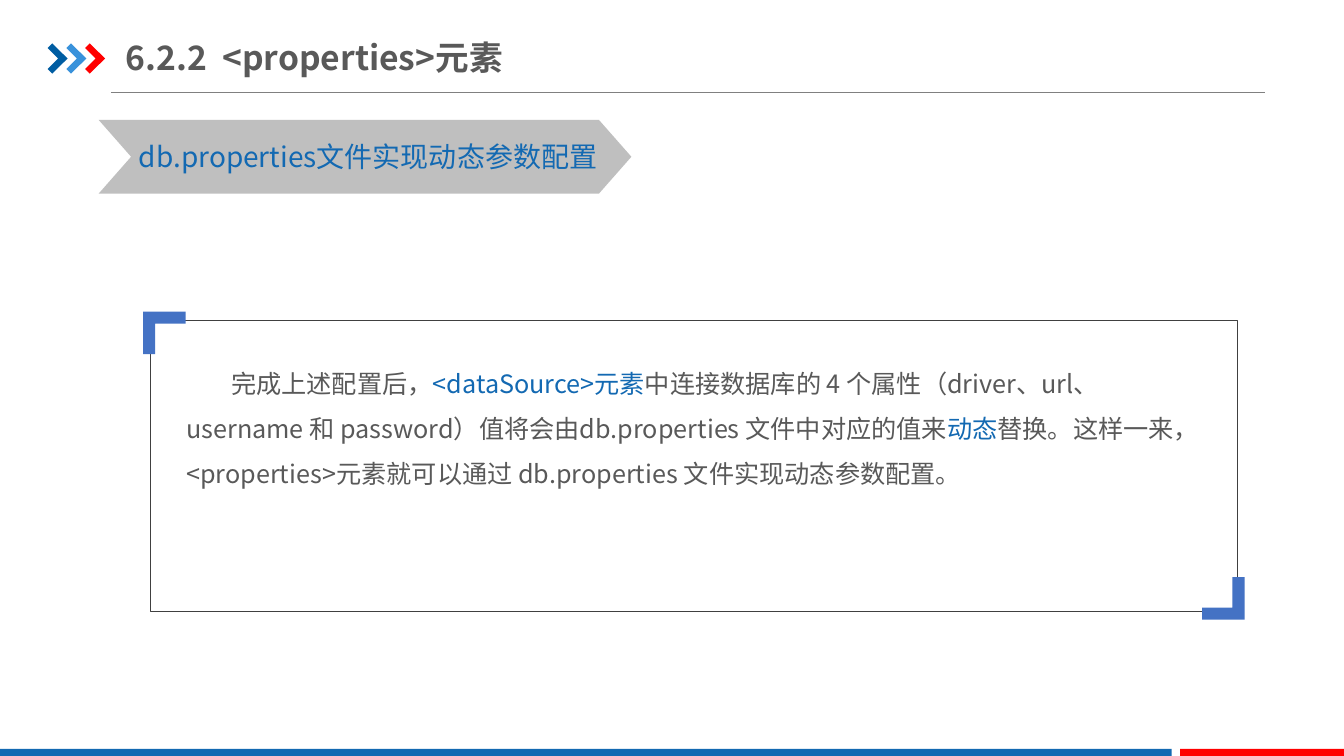
from dataclasses import dataclass

from lxml.etree import SubElement
from pptx import Presentation
from pptx.dml.color import RGBColor
from pptx.enum.shapes import MSO_CONNECTOR, MSO_SHAPE
from pptx.enum.text import MSO_ANCHOR, MSO_AUTO_SIZE, PP_ALIGN
from pptx.oxml.ns import qn
from pptx.util import Pt


@dataclass(frozen=True)
class Theme:
    face: str = "Noto Sans CJK SC"
    text: str = "595959"
    blue: str = "1369B2"
    red: str = "FF0000"
    navy: str = "005DA2"
    sky: str = "3992DB"
    gray: str = "BFBFBF"
    rule: str = "808080"
    frame: str = "404040"
    corner: str = "4472C4"
    title: int = 24
    label: int = 20
    body: int = 18


THEME = Theme()


def color(code):
    return RGBColor.from_string(code)


def style(run, size, code, bold=False):
    font = run.font
    font.name = THEME.face
    font.size = Pt(size)
    font.bold = bold
    font.color.rgb = color(code)
    SubElement(run._r.get_or_add_rPr(), qn("a:ea")).set("typeface", THEME.face)


def paint(shape, code):
    shape.shadow.inherit = False
    shape.fill.solid()
    shape.fill.fore_color.rgb = color(code)
    shape.line.fill.background()


def block(slide, kind, box, code):
    shape = slide.shapes.add_shape(kind, *map(Pt, box))
    paint(shape, code)
    return shape


def outline(slide, left, top, points, code):
    first, *rest = [(Pt(left + x), Pt(top + y)) for x, y in points]
    form = slide.shapes.build_freeform(*first)
    form.add_line_segments(rest, close=True)
    shape = form.convert_to_shape()
    paint(shape, code)
    return shape


def header(slide, left, top, width, height):
    points = [(0, 3.3), (3.4, 0), (14.3, 10.8), (3.4, 21.6), (0, 18.3), (7.6, 10.8)]
    for i, code in enumerate((THEME.navy, THEME.sky, THEME.red)):
        outline(slide, left + 13.4 * i, top + 10, points, code)

    base = top + height
    rule = slide.shapes.add_connector(
        MSO_CONNECTOR.STRAIGHT, Pt(left + 45.3), Pt(base), Pt(left + width), Pt(base))
    rule.line.color.rgb = color(THEME.rule)
    rule.line.width = Pt(0.5)
    SubElement(rule._element.spPr, qn("a:effectLst"))

    title = slide.shapes.title
    title.left, title.top = Pt(left + 56), Pt(top)
    title.width, title.height = Pt(325), Pt(40)
    frame = title.text_frame
    frame.text = "6.2.2  <properties>元素"
    frame.auto_size = MSO_AUTO_SIZE.NONE
    frame.vertical_anchor = MSO_ANCHOR.MIDDLE
    frame.margin_left = frame.margin_right = 0
    line = frame.paragraphs[0]
    line.alignment = PP_ALIGN.LEFT
    style(line.runs[0], THEME.title, THEME.text, True)


def banner(slide, left, top, width, height):
    arrow = block(slide, MSO_SHAPE.CHEVRON, (left, top, width, height), THEME.gray)
    arrow.adjustments[0] = 0.44
    label = slide.shapes.add_textbox(
        Pt(left + 21.6), Pt(top + 10.1), Pt(width - 22), Pt(31.7))
    frame = label.text_frame
    frame.word_wrap = True
    frame.text = "db.properties文件实现动态参数配置"
    style(frame.paragraphs[0].runs[0], THEME.label, THEME.blue)


def panel(slide, left, top, width, height):
    note = slide.shapes.add_textbox(
        Pt(left + 18.7), Pt(top + 20), Pt(width - 37.4), Pt(height - 34))
    frame = note.text_frame
    frame.word_wrap = True
    line = frame.paragraphs[0]
    line.line_spacing = 1.5
    line._p.get_or_add_pPr().set("indent", str(Pt(32)))
    parts = [
        ("完成上述配置后，", THEME.text),
        ("<dataSource>元素", THEME.blue),
        ("中连接数据库的 4 个属性（driver、url、username 和 password）"
         "值将会由db.properties 文件中对应的值来", THEME.text),
        ("动态", THEME.blue),
        ("替换。这样一来，<properties>元素就可以通过 "
         "db.properties 文件实现动态参数配置。", THEME.text),
    ]
    for words, code in parts:
        run = line.add_run()
        run.text = words
        style(run, THEME.body, code)

    border = slide.shapes.add_shape(
        MSO_SHAPE.RECTANGLE, Pt(left), Pt(top), Pt(width), Pt(height))
    border.shadow.inherit = False
    border.fill.background()
    border.line.color.rgb = color(THEME.frame)
    border.line.width = Pt(0.25)

    size, thick, out = 30.4, 8.6, 5
    points = [(0, 0), (size, 0), (size, thick), (thick, thick), (thick, size), (0, size)]
    outline(slide, left - out, top - out - 1, points, THEME.corner)
    turned = [(-x, -y) for x, y in points]
    outline(slide, left + width + out, top + height + out + 1, turned, THEME.corner)


def footer(slide, left, top, width, height):
    split, gap = 837, 6
    block(slide, MSO_SHAPE.RECTANGLE, (left, top, split, height), THEME.blue)
    block(slide, MSO_SHAPE.RECTANGLE,
          (left + split + gap, top, width - split - gap, height), THEME.red)


def main():
    deck = Presentation()
    deck.slide_width, deck.slide_height = Pt(960), Pt(540)
    slide = deck.slides.add_slide(deck.slide_layouts[5])
    header(slide, 34, 21, 869.6, 44.8)
    footer(slide, 0, 535, 960, 5)
    banner(slide, 70.5, 85.7, 380.5, 52.6)
    panel(slide, 107.3, 228.6, 776.7, 208)
    deck.save("out.pptx")


if __name__ == "__main__":
    main()
